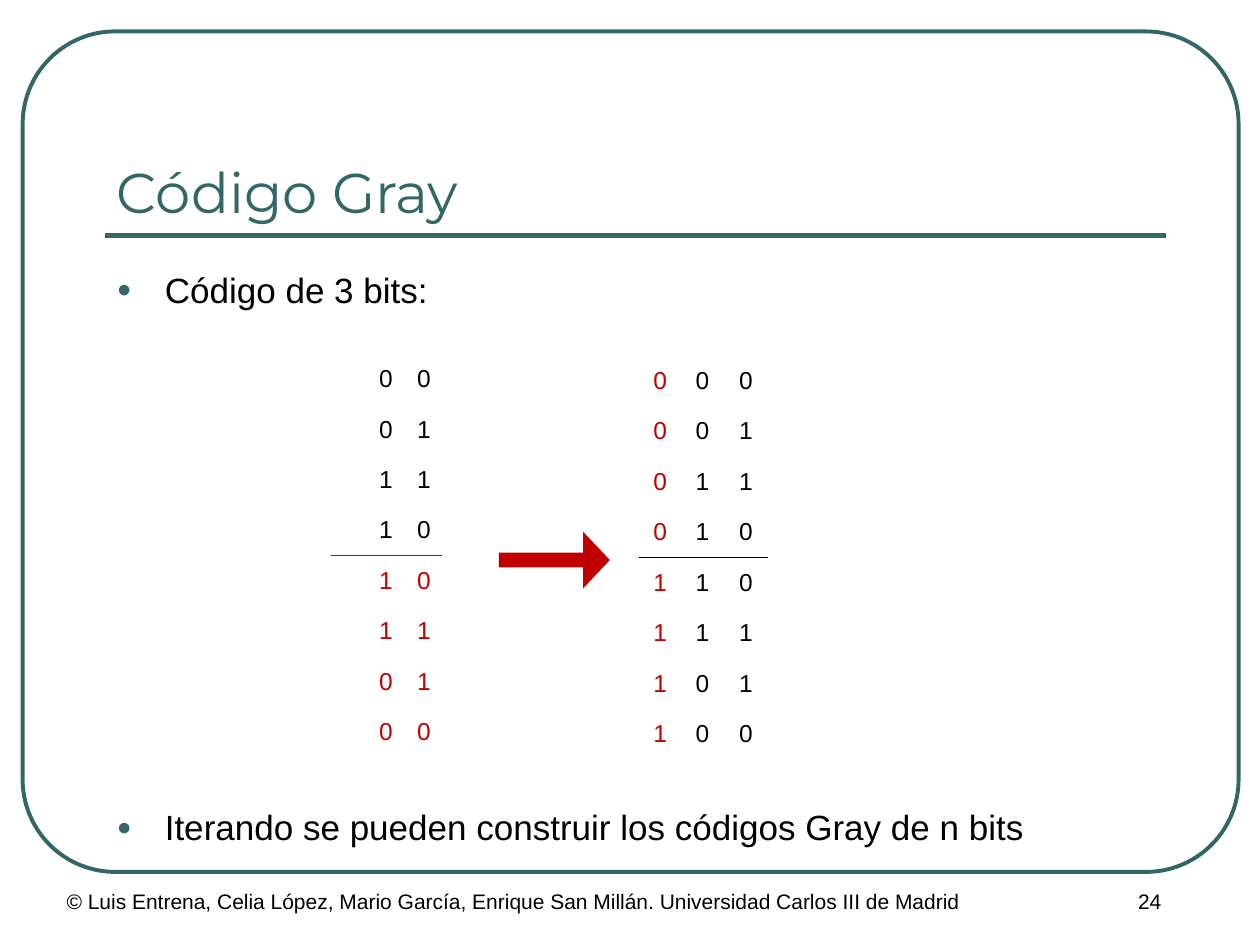
import pptx
import pptx.util
import pptx.dml.color
import pptx.enum.shapes
import pptx.enum.text
import pptx.oxml
import pptx.oxml.ns
import lxml.etree

Inches, Pt = pptx.util.Inches, pptx.util.Pt
RGB = pptx.dml.color.RGBColor.from_string
SHAPES = pptx.enum.shapes.MSO_SHAPE
ANCHOR = pptx.enum.text.MSO_ANCHOR
ALIGN = pptx.enum.text.PP_ALIGN
COLOURS = {"teal": "336666", "red": "C00000", "black": "000000"}
NS = pptx.oxml.ns.nsdecls("a")


def add_run(paragraph, text, size, colour="black", font="Arial"):
    run = paragraph.add_run()
    run.text = text
    run.font.size = Pt(size)
    run.font.name = font
    run.font.color.rgb = RGB(COLOURS[colour])


def add_box(left, top, width, height, anchor=ANCHOR.TOP):
    """Add a wrapping text box and return its text frame."""
    frame = slide.shapes.add_textbox(
        Inches(left), Inches(top), Inches(width), Inches(height)).text_frame
    frame.word_wrap = True
    frame.vertical_anchor = anchor
    return frame


deck = pptx.Presentation()
deck.slide_width, deck.slide_height = Inches(10), Inches(7.5)
slide = deck.slides.add_slide(deck.slide_layouts[6])

# Frame and title rule
border = slide.shapes.add_shape(
    SHAPES.ROUNDED_RECTANGLE, Inches(0.18), Inches(0.25), Inches(9.65), Inches(6.67))
border.adjustments[0] = 0.11
border.shadow.inherit = False
border.fill.background()
border.line.color.rgb = RGB(COLOURS["teal"])
border.line.width = Pt(2.25)

title_rule = slide.shapes.add_connector(
    pptx.enum.shapes.MSO_CONNECTOR.STRAIGHT,
    Inches(0.83), Inches(1.87), Inches(9.25), Inches(1.87))
title_rule.line.color.rgb = RGB(COLOURS["teal"])
title_rule.line.width = Pt(3)
lxml.etree.SubElement(title_rule._element.spPr, pptx.oxml.ns.qn("a:effectLst"))

# Title and bullets
title = add_box(0.83, 0.58, 8.42, 1.25, ANCHOR.BOTTOM)
add_run(title.paragraphs[0], "Código Gray", 32, "teal", "Montserrat")

body = add_box(0.83, 2.08, 8.42, 4.83)
bullets = [("Código de 3 bits:", 10),
           ("Iterando se pueden construir los códigos Gray de n bits", 283)]
for number, (text, space_before) in enumerate(bullets):
    bullet = body.add_paragraph() if number else body.paragraphs[0]
    bullet.space_before = Pt(space_before)
    add_run(bullet, text, 20)
    properties = bullet._p.get_or_add_pPr()
    properties.set("marL", str(Inches(0.38)))
    properties.set("indent", str(-Inches(0.38)))
    for xml in (f'<a:buClr {NS}><a:srgbClr val="{COLOURS["teal"]}"/></a:buClr>',
                f'<a:buSzPct {NS} val="70000"/>',
                f'<a:buFont {NS} typeface="Arial"/>',
                f'<a:buChar {NS} char="●"/>'):
        properties.append(pptx.oxml.parse_xml(xml))

# Code tables: the 2-bit code mirrored, and the 3-bit code that results
ROW_COUNT, HALF = 8, 4
gray_codes = [format(n ^ (n >> 1), "03b") for n in range(ROW_COUNT)]
mirrored_codes = [" " + code[1:] for code in gray_codes]
code_tables = [
    (2.63, 2.81, 3.2, [0.28, 0.3, 0.29], mirrored_codes, "red",
     lambda row, column: row >= HALF),
    (5.08, 2.82, 3.21, [0.32, 0.35, 0.34], gray_codes, "black",
     lambda row, column: column == 0),
]
for left, top, height, widths, codes, divider, is_red in code_tables:
    table = slide.shapes.add_table(
        ROW_COUNT, len(widths), Inches(left), Inches(top),
        Inches(sum(widths)), Inches(height)).table
    table.first_row = table.horz_banding = False
    for column, width in enumerate(widths):
        table.columns[column].width = Inches(width)
    for row, code in enumerate(codes):
        for column, bit in enumerate(code):
            cell = table.cell(row, column)
            cell.fill.background()
            cell.vertical_anchor = ANCHOR.MIDDLE
            digit = cell.text_frame.paragraphs[0]
            digit.alignment = ALIGN.CENTER
            digit.font.size = Pt(14)
            if bit.strip():
                add_run(digit, bit, 14, "red" if is_red(row, column) else "black")
            if row in (HALF - 1, HALF):
                side = "lnB" if row < HALF else "lnT"
                cell._tc.get_or_add_tcPr().insert(0, pptx.oxml.parse_xml(
                    f'<a:{side} {NS} w="{Pt(0.45)}"><a:solidFill>'
                    f'<a:srgbClr val="{COLOURS[divider]}"/></a:solidFill></a:{side}>'))

arrow = slide.shapes.add_shape(
    SHAPES.RIGHT_ARROW, Inches(3.96), Inches(4.22), Inches(0.88), Inches(0.45))
arrow.adjustments[0], arrow.adjustments[1] = 0.26, 0.47
arrow.shadow.inherit = False
arrow.fill.solid()
arrow.fill.fore_color.rgb = RGB(COLOURS["red"])
arrow.line.fill.background()

# Footer
credit = add_box(0.43, 7, 8.5, 0.5)
add_run(credit.paragraphs[0],
        "© Luis Entrena, Celia López, Mario García, Enrique San Millán. "
        "Universidad Carlos III de Madrid", 12)
page_number = add_box(8.25, 7, 1.75, 0.5)
page_number.paragraphs[0].alignment = ALIGN.CENTER
add_run(page_number.paragraphs[0], "24", 12)

deck.save("out.pptx")
